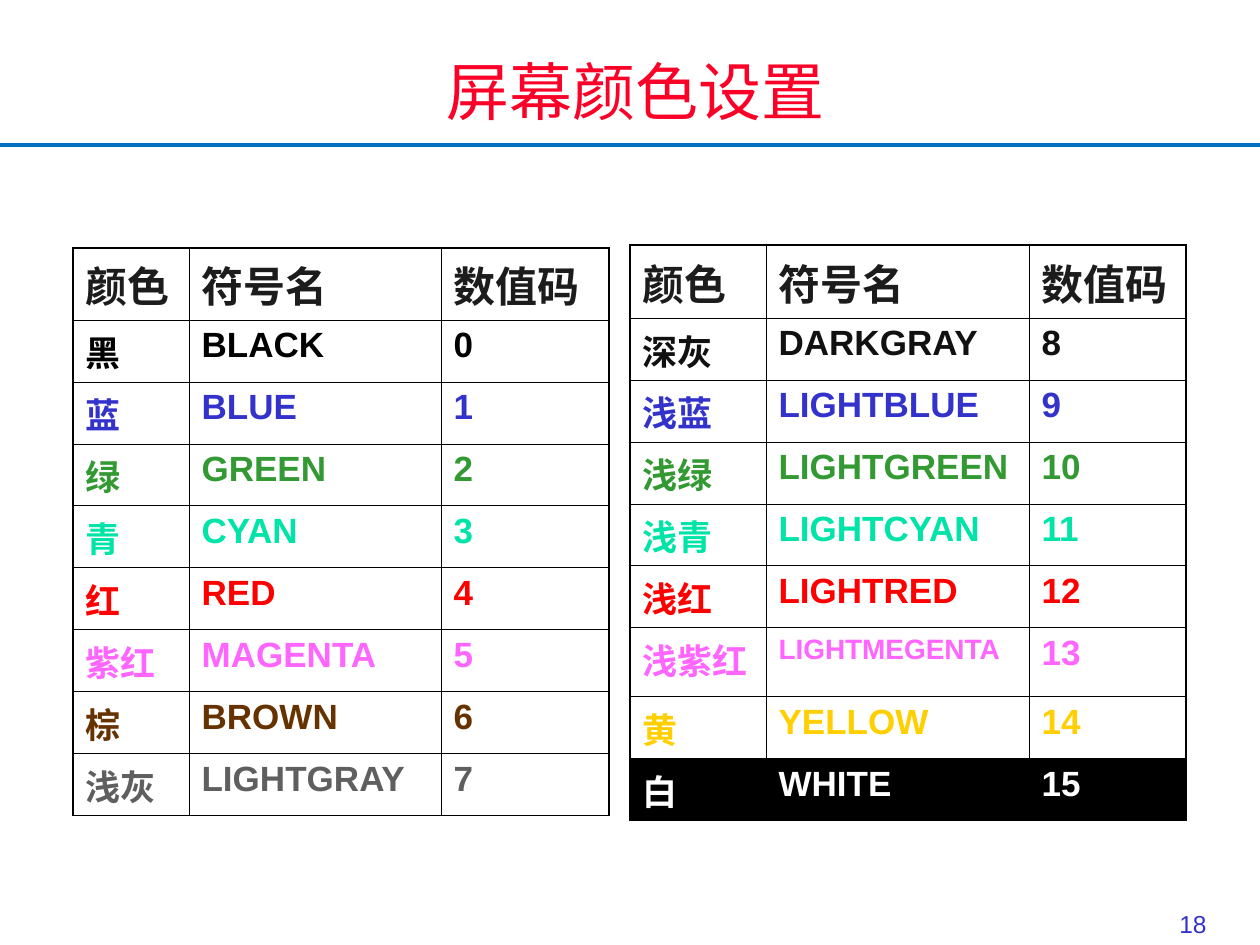
from lxml import etree
from pptx import Presentation
from pptx.dml.color import RGBColor
from pptx.enum.shapes import MSO_CONNECTOR, MSO_SHAPE
from pptx.enum.text import MSO_ANCHOR, PP_ALIGN
from pptx.oxml.ns import qn
from pptx.util import Pt

PX = 914400 / 126
LATIN_FONT = "Arial"
CJK_FONT = "Noto Sans CJK SC"

BLACK = RGBColor(0x00, 0x00, 0x00)
WHITE = RGBColor(0xFF, 0xFF, 0xFF)
HEADER_GRAY = RGBColor(0x1C, 0x1C, 0x1C)
DARK_GRAY = RGBColor(0x11, 0x11, 0x11)
LIGHT_GRAY = RGBColor(0x5F, 0x5F, 0x5F)
BLUE = RGBColor(0x33, 0x33, 0xCC)
GREEN = RGBColor(0x33, 0x99, 0x33)
CYAN = RGBColor(0x00, 0xE4, 0xA8)
RED = RGBColor(0xFF, 0x00, 0x00)
MAGENTA = RGBColor(0xFF, 0x66, 0xFF)
BROWN = RGBColor(0x66, 0x33, 0x00)
YELLOW = RGBColor(0xFF, 0xCF, 0x01)
TITLE_RED = RGBColor(0xFC, 0x01, 0x28)
RULE_BLUE = RGBColor(0x00, 0x70, 0xC0)

THIN, THICK = Pt(0.45), Pt(1.08)


def add_text(paragraph, text, size, color, font_name=LATIN_FONT, bold=False):
    run = paragraph.add_run()
    run.text = text
    run.font.size = Pt(size)
    run.font.bold = bold
    run.font.color.rgb = color
    run.font.name = font_name
    east_asian = etree.Element(qn("a:ea"), typeface=CJK_FONT)
    run.font._element.find(qn("a:latin")).addnext(east_asian)


def set_borders(cell, widths):
    properties = cell._tc.get_or_add_tcPr()
    for index, (side, width) in enumerate(widths.items()):
        line = etree.Element(qn(f"a:ln{side}"), w=str(width))
        fill = etree.SubElement(line, qn("a:solidFill"))
        etree.SubElement(fill, qn("a:srgbClr"), val=str(BLACK))
        properties.insert(index, line)


presentation = Presentation()
presentation.slide_width = int(1260 * PX)
presentation.slide_height = int(945 * PX)
slide = presentation.slides.add_slide(presentation.slide_layouts[6])

# Rule under the title
rule = slide.shapes.add_connector(
    MSO_CONNECTOR.STRAIGHT, 0, int(145 * PX), int(1260 * PX), int(145 * PX))
rule.line.color.rgb = RULE_BLUE
rule.line.width = Pt(2)
etree.SubElement(rule._element.spPr, qn("a:effectLst"))

# Slide number
number_box = slide.shapes.add_textbox(
    int(1152 * PX), int(882 * PX), int(67 * PX), int(63 * PX))
number_box.text_frame.word_wrap = True
number_box.text_frame.vertical_anchor = MSO_ANCHOR.BOTTOM
paragraph = number_box.text_frame.paragraphs[0]
paragraph.alignment = PP_ALIGN.RIGHT
add_text(paragraph, "18", 14, BLUE)

# Colour tables: left, top, column widths, heights of rows, (name, symbol, colour)
header = ("颜色", "符号名", "数值码")
color_tables = [
    (73, 248, (116, 252, 168), [72] + [62] * 8, [
        ("黑", "BLACK", BLACK), ("蓝", "BLUE", BLUE),
        ("绿", "GREEN", GREEN), ("青", "CYAN", CYAN),
        ("红", "RED", RED), ("紫红", "MAGENTA", MAGENTA),
        ("棕", "BROWN", BROWN), ("浅灰", "LIGHTGRAY", LIGHT_GRAY)]),
    (630, 245, (136, 263, 157), [73] + [62] * 5 + [69] + [62] * 2, [
        ("深灰", "DARKGRAY", DARK_GRAY), ("浅蓝", "LIGHTBLUE", BLUE),
        ("浅绿", "LIGHTGREEN", GREEN), ("浅青", "LIGHTCYAN", CYAN),
        ("浅红", "LIGHTRED", RED), ("浅紫红", "LIGHTMEGENTA", MAGENTA),
        ("黄", "YELLOW", YELLOW), ("白", "WHITE", WHITE)]),
]
code = 0
for left, top, widths, heights, entries in color_tables:
    rows = [(header, HEADER_GRAY)]
    for name, symbol, color in entries:
        rows.append(((name, symbol, str(code)), color))
        code += 1

    table = slide.shapes.add_table(
        len(rows), len(widths), int(left * PX), int(top * PX),
        int(sum(widths) * PX), int(sum(heights) * PX)).table
    table.first_row = False
    table.horz_banding = False
    for column, width in zip(table.columns, widths):
        column.width = int(width * PX)
    for row, height in zip(table.rows, heights):
        row.height = int(height * PX)

    last_row, last_column = len(rows) - 1, len(widths) - 1
    for row_index, (texts, color) in enumerate(rows):
        for column_index, text in enumerate(texts):
            cell = table.cell(row_index, column_index)
            if color == WHITE:
                cell.fill.solid()
                cell.fill.fore_color.rgb = BLACK
            else:
                cell.fill.background()
            set_borders(cell, {
                "L": THICK if column_index == 0 else THIN,
                "R": THICK if column_index == last_column else THIN,
                "T": THICK if row_index == 0 else THIN,
                "B": THICK if row_index == last_row else THIN})
            size = 24 if row_index == 0 else 20
            if text == "LIGHTMEGENTA":
                size = 16
            add_text(cell.text_frame.paragraphs[0], text, size, color, bold=True)

# Title
title = slide.shapes.add_shape(
    MSO_SHAPE.RECTANGLE, int(205 * PX), int(47 * PX), int(860 * PX), int(86 * PX))
title.shadow.inherit = False
title.fill.solid()
title.fill.fore_color.rgb = WHITE
title.line.fill.background()
title.text_frame.word_wrap = True
title.text_frame.vertical_anchor = MSO_ANCHOR.MIDDLE
paragraph = title.text_frame.paragraphs[0]
paragraph.alignment = PP_ALIGN.CENTER
add_text(paragraph, "屏幕颜色设置", 36, TITLE_RED, CJK_FONT)

presentation.save("out.pptx")
